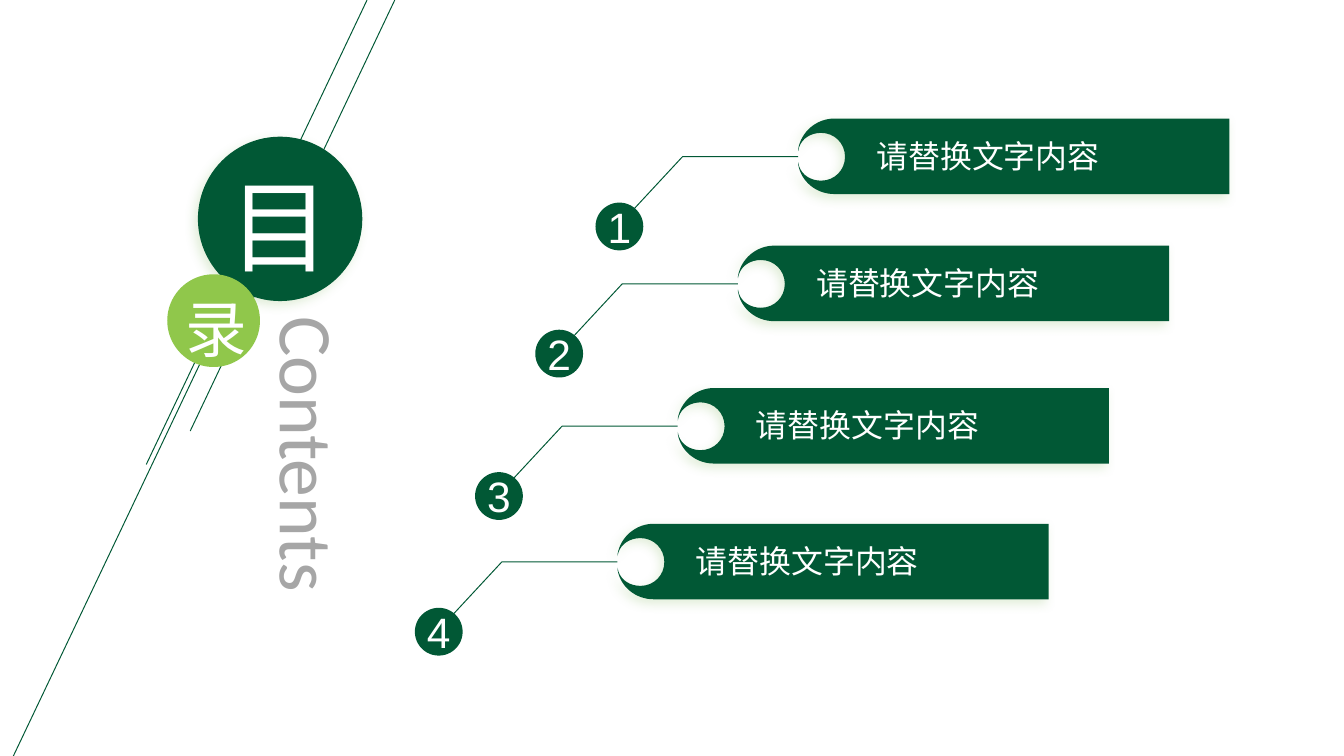
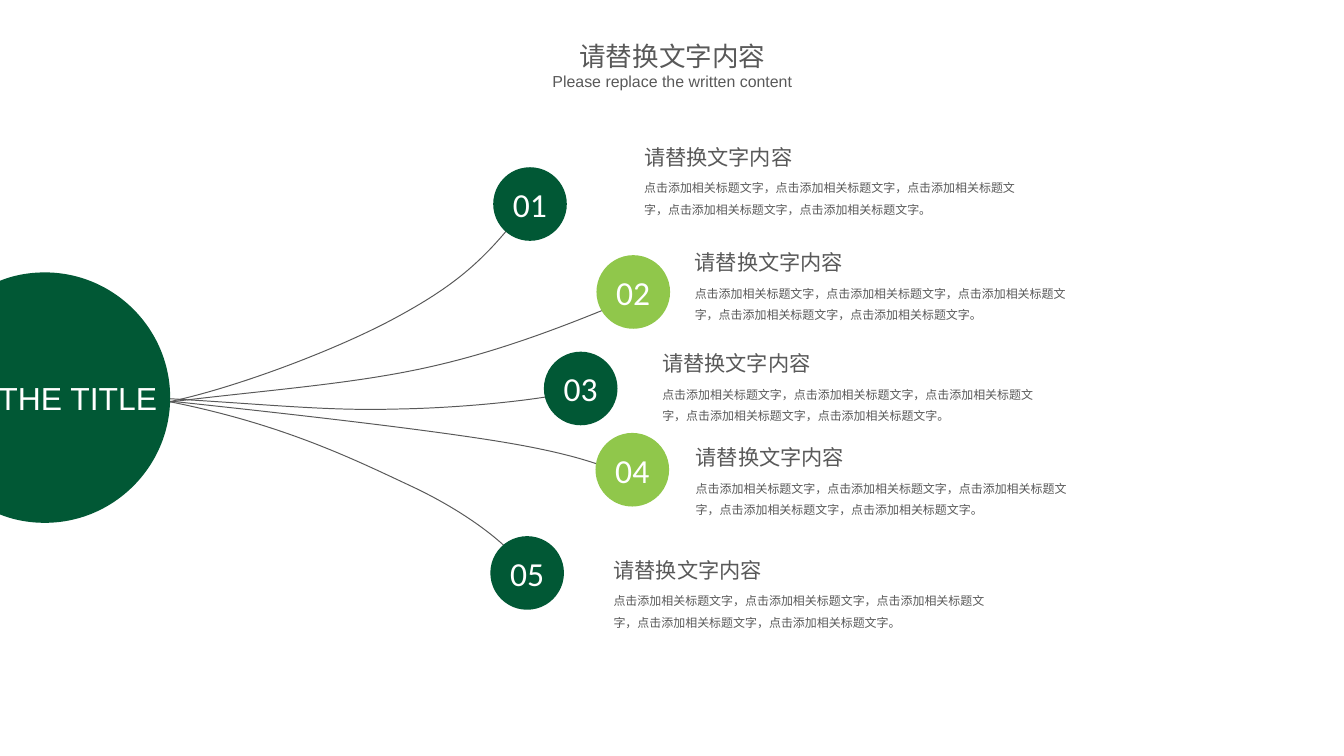
from dataclasses import dataclass
from typing import NamedTuple, Optional

from lxml.etree import SubElement
from pptx import Presentation
from pptx.dml.color import RGBColor
from pptx.enum.shapes import MSO_CONNECTOR, MSO_SHAPE
from pptx.enum.text import MSO_ANCHOR as Anchor, MSO_AUTO_SIZE as AutoSize, PP_ALIGN as Align
from pptx.oxml.ns import qn
from pptx.oxml.xmlchemy import OxmlElement
from pptx.shapes.base import BaseShape
from pptx.slide import Slide
from pptx.text.text import TextFrame
from pptx.util import Emu, Pt

EMU_PER_PX = 9144  # 100 px to the inch
SLIDE_SIZE = (1406, 791)


@dataclass(frozen=True)
class Theme:
    green: str = "015835"
    lime: str = "90C74B"
    gray: str = "595959"
    pale_gray: str = "A6A6A6"
    white: str = "FFFFFF"
    shadow: str = "70AD47"
    heading_font: str = "Calibri"
    body_font: str = "Arial"
    chinese_font: str = "Noto Sans CJK SC"
    line_width: float = 0.75
    big_sign: float = 75.9
    small_sign: float = 46.4
    contents: float = 57
    agenda_number: float = 32
    agenda_label: float = 24
    hub: float = 24
    branch_number: float = 25.3
    branch_heading: float = 16
    branch_body: float = 9
    title: float = 20
    subtitle: float = 12


THEME = Theme()


class Point(NamedTuple):
    x: int
    y: int


class Box(NamedTuple):
    left: int
    top: int
    width: int
    height: int


@dataclass(frozen=True)
class TextStyle:
    size: float
    color: str
    font: str = THEME.heading_font
    align: Align = Align.LEFT
    line_spacing: Optional[float] = None


@dataclass(frozen=True)
class Branch:
    badge: Point
    text: Point
    curve_start: Point
    curve: tuple  # segments of three points each


# A segment holds one point for a straight line, three for a Bézier curve.
Segments = list[tuple[tuple[int, int], ...]]

PLACEHOLDER = "请替换文字内容"
BRANCH_BODY = "，".join(["点击添加相关标题文字"] * 5) + "。"

BAR_START = (38, 0)
BAR_SEGMENTS: Segments = [
    ((451, 0),), ((451, 79),), ((38, 79),),
    ((19, 79), (3, 66), (0, 48)),
    ((0, 46),), ((1, 50),),
    ((4, 59), (13, 65), (24, 65)),
    ((38, 65), (49, 54), (49, 40)),
    ((49, 26), (38, 15), (24, 15)),
    ((13, 15), (4, 21), (1, 30)),
    ((0, 34),), ((0, 32),),
    ((3, 14), (19, 0), (38, 0)),
]
AGENDA_LEFT, AGENDA_STEP = 835, -63
AGENDA_TOPS = (124, 257, 406, 548)

HUB_START = (47, 285)
HUB_SEGMENTS: Segments = [
    ((119, 285), (178, 344), (178, 416)),
    ((178, 488), (119, 547), (47, 547)),
    ((30, 547), (13, 544), (-3, 537)),
    ((-3, 295),),
    ((13, 288), (30, 285), (47, 285)),
]

BRANCHES = [
    Branch(Point(516, 175), Point(664, 146), Point(174, 421),
           (((243, 407), (350, 367), (413, 333)), ((476, 299), (508, 272), (550, 216)))),
    Branch(Point(624, 267), Point(717, 256), Point(174, 421),
           (((280, 408), (369, 402), (449, 384)), ((530, 366), (603, 336), (659, 313)))),
    Branch(Point(569, 368), Point(683, 362), Point(174, 417),
           (((280, 423), (341, 430), (413, 428)), ((485, 427), (571, 418), (608, 408)))),
    Branch(Point(623, 453), Point(718, 460), Point(181, 420),
           (((312, 434), (443, 449), (523, 462)), ((602, 475), (631, 487), (660, 499)))),
    Branch(Point(513, 561), Point(632, 578), Point(176, 420),
           (((297, 444), (371, 481), (433, 510)), ((496, 540), (538, 576), (550, 597)))),
]


def px(length: int) -> Emu:
    return Emu(length * EMU_PER_PX)


def rgb(color: str) -> RGBColor:
    return RGBColor.from_string(color)


def write(frame: TextFrame, text: str, style: TextStyle) -> None:
    paragraph = frame.paragraphs[0]
    paragraph.text = text
    paragraph.alignment = style.align
    if style.line_spacing:
        paragraph.line_spacing = style.line_spacing
    for run in paragraph.runs:
        run.font.size = Pt(style.size)
        run.font.color.rgb = rgb(style.color)
        run.font.name = style.font
        east_asian = SubElement(run.font._element, qn("a:ea"))
        east_asian.set("typeface", THEME.chinese_font)


def write_inside(shape: BaseShape, text: str, style: TextStyle, right_inset: int = 0) -> None:
    """Put middle-anchored text in a filled shape."""
    frame = shape.text_frame
    frame.word_wrap = True
    frame.vertical_anchor = Anchor.MIDDLE
    frame.margin_left = frame.margin_top = frame.margin_bottom = 0
    frame.margin_right = px(right_inset)
    write(frame, text, style)


def add_text(slide: Slide, box: Box, text: str, style: TextStyle,
             wrap: bool = True, vertical: bool = False) -> None:
    frame = slide.shapes.add_textbox(*map(px, box)).text_frame
    frame.word_wrap = wrap
    frame.auto_size = AutoSize.SHAPE_TO_FIT_TEXT
    if vertical:
        frame._element.bodyPr.set("vert", "eaVert")
    write(frame, text, style)


def paint(shape: BaseShape, color: str) -> None:
    shape.shadow.inherit = False
    shape.fill.solid()
    shape.fill.fore_color.rgb = rgb(color)
    shape.line.fill.background()


def outline(shape: BaseShape, color: str) -> None:
    shape.shadow.inherit = False
    shape.fill.background()
    shape.line.color.rgb = rgb(color)
    shape.line.width = Pt(THEME.line_width)


def add_soft_shadow(shape: BaseShape) -> None:
    effects = shape.element.spPr.find(qn("a:effectLst"))
    shadow = SubElement(effects, qn("a:outerShdw"))
    for name, value in (("blurRad", Pt(8)), ("dist", Pt(4)), ("dir", 135 * 60000),
                        ("algn", "tr"), ("rotWithShape", 0)):
        shadow.set(name, str(value))
    color = SubElement(shadow, qn("a:srgbClr"))
    color.set("val", THEME.shadow)
    SubElement(color, qn("a:alpha")).set("val", "20000")


def add_circle(slide: Slide, left: int, top: int, diameter: int, color: str) -> BaseShape:
    circle = slide.shapes.add_shape(MSO_SHAPE.OVAL, *map(px, (left, top, diameter, diameter)))
    paint(circle, color)
    return circle


def add_line(slide: Slide, start: Point, end: Point) -> None:
    line = slide.shapes.add_connector(MSO_CONNECTOR.STRAIGHT, *map(px, (*start, *end)))
    line.line.color.rgb = rgb(THEME.green)
    line.line.width = Pt(THEME.line_width)
    SubElement(line._element.spPr, qn("a:effectLst"))


def add_path(slide: Slide, start: tuple[int, int], segments: Segments,
             closed: bool = False, origin: Point = Point(0, 0)) -> BaseShape:
    """Build a freeform, then turn each three-point segment into a real curve."""
    points = [(origin.x + x, origin.y + y) for segment in segments for x, y in segment]
    builder = slide.shapes.build_freeform(origin.x + start[0], origin.y + start[1], EMU_PER_PX)
    builder.add_line_segments(points, close=closed)
    shape = builder.convert_to_shape()
    outline_path = next(shape.element.iter(qn("a:path")))
    steps = iter(outline_path.findall(qn("a:lnTo")))
    for segment in segments:
        lines = [next(steps) for _ in segment]
        if len(lines) == 3:
            curve = OxmlElement("a:cubicBezTo")
            lines[0].addprevious(curve)
            for line in lines:
                curve.append(line[0])
                outline_path.remove(line)
    return shape


def add_agenda_item(slide: Slide, number: int, left: int, top: int) -> None:
    origin = Point(left, top)
    bar = add_path(slide, BAR_START, BAR_SEGMENTS, closed=True, origin=origin)
    paint(bar, THEME.green)
    add_soft_shadow(bar)
    leader = add_path(slide, (-173, 96), [((-121, 40),), ((0, 40),)], origin=origin)
    outline(leader, THEME.green)
    badge = add_circle(slide, left - 212, top + 88, 50, THEME.green)
    write_inside(badge, str(number),
                 TextStyle(THEME.agenda_number, THEME.white, THEME.body_font, Align.CENTER))
    add_text(slide, Box(left + 72, top + 14, 352, 50), PLACEHOLDER,
             TextStyle(THEME.agenda_label, THEME.white))


def add_sign(slide: Slide, box: Box, text: str, size: float) -> None:
    add_text(slide, box, text, TextStyle(size, THEME.white, THEME.chinese_font, Align.CENTER))


def build_contents(slide: Slide) -> None:
    for start, end in ((Point(199, 451), Point(413, 0)),
                       (Point(153, 486), Point(384, 0)),
                       (Point(14, 791), Point(209, 381))):
        add_line(slide, start, end)
    add_text(slide, Box(261, 321, 116, 343), "Contents",
             TextStyle(THEME.contents, THEME.pale_gray), vertical=True)
    add_soft_shadow(add_circle(slide, 207, 143, 172, THEME.green))
    add_sign(slide, Box(228, 166, 130, 138), "目", THEME.big_sign)
    for index, top in enumerate(AGENDA_TOPS):
        add_agenda_item(slide, index + 1, AGENDA_LEFT + index * AGENDA_STEP, top)
    add_circle(slide, 175, 287, 97, THEME.lime)
    add_sign(slide, Box(183, 299, 86, 88), "录", THEME.small_sign)


def add_branch_text(slide: Slide, corner: Point) -> None:
    add_text(slide, Box(corner.x, corner.y + 31, 412, 56), BRANCH_BODY,
             TextStyle(THEME.branch_body, THEME.gray, THEME.body_font, line_spacing=1.5))
    add_text(slide, Box(*corner, 177, 37), PLACEHOLDER,
             TextStyle(THEME.branch_heading, THEME.gray), wrap=False)


def build_branches(slide: Slide) -> None:
    for branch in BRANCHES:
        outline(add_path(slide, branch.curve_start, list(branch.curve)), THEME.gray)
    for index, branch in enumerate(BRANCHES):
        color = THEME.lime if index % 2 else THEME.green
        badge = add_circle(slide, *branch.badge, 77, color)
        write_inside(badge, f"{index + 1:02}",
                     TextStyle(THEME.branch_number, THEME.white, align=Align.CENTER))
        add_branch_text(slide, branch.text)
    hub = add_path(slide, HUB_START, HUB_SEGMENTS, closed=True)
    paint(hub, THEME.green)
    write_inside(hub, "THE TITLE",
                 TextStyle(THEME.hub, THEME.white, THEME.body_font, Align.CENTER), right_inset=12)
    add_text(slide, Box(595, 20, 217, 55), PLACEHOLDER,
             TextStyle(THEME.title, THEME.gray, THEME.heading_font, Align.CENTER, 1.5), wrap=False)
    add_text(slide, Box(567, 60, 273, 37), "Please replace the written content",
             TextStyle(THEME.subtitle, THEME.gray, THEME.body_font, Align.CENTER, 1.5), wrap=False)


def main() -> None:
    presentation = Presentation()
    presentation.slide_width, presentation.slide_height = map(px, SLIDE_SIZE)
    blank_layout = presentation.slide_layouts[6]
    for build in (build_contents, build_branches):
        build(presentation.slides.add_slide(blank_layout))
    presentation.save("out.pptx")


if __name__ == "__main__":
    main()
